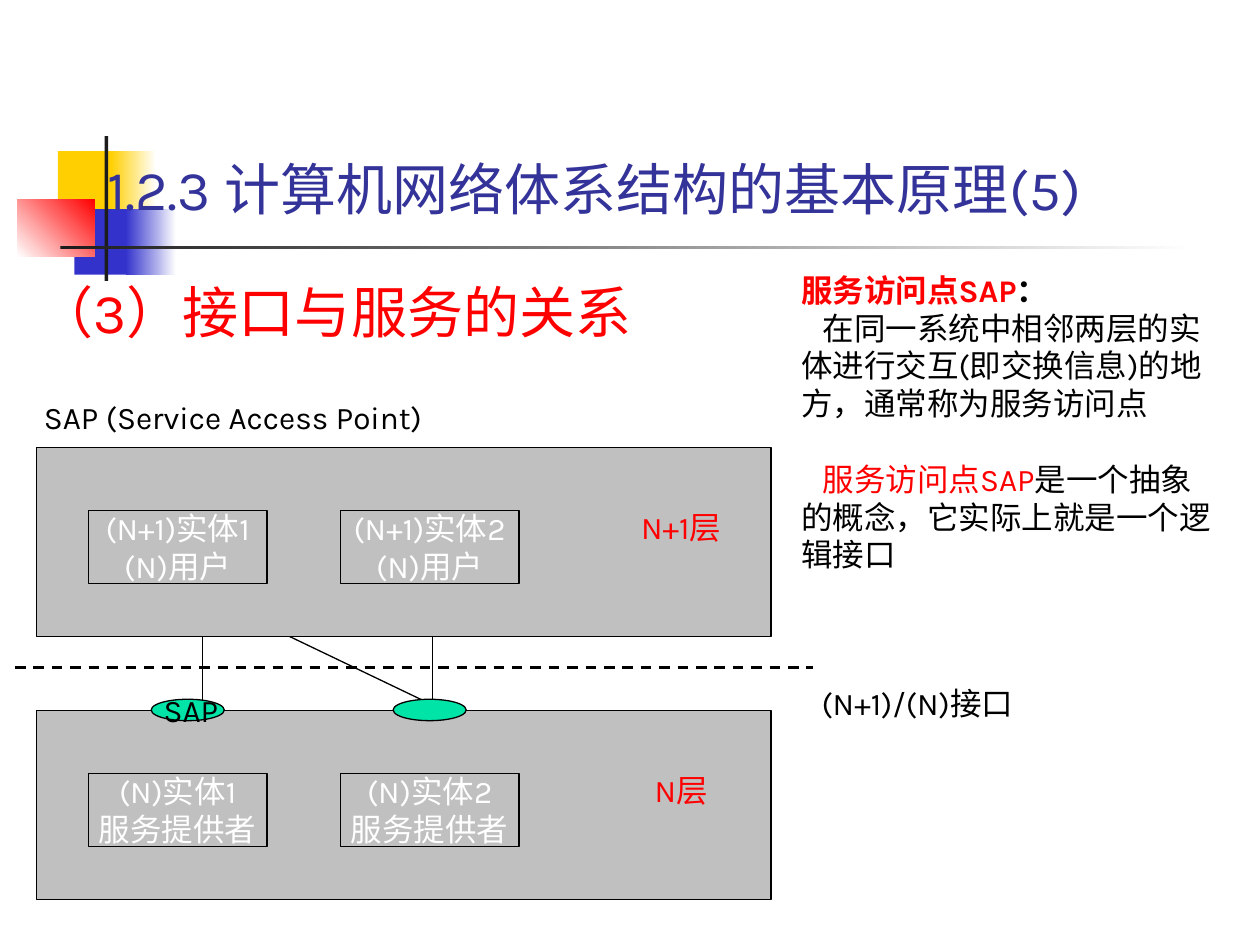
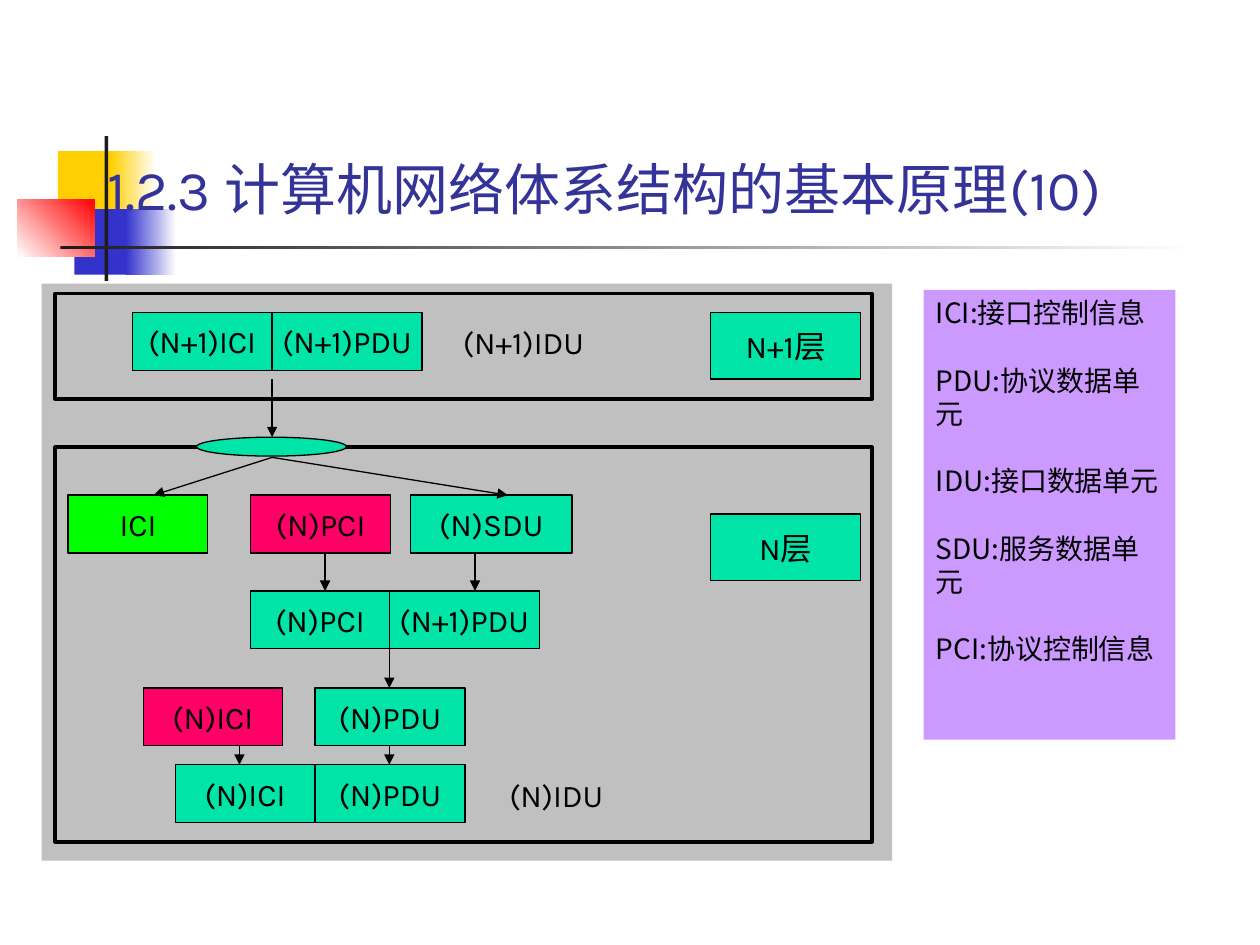
import pptx
import pptx.dml.color
import pptx.enum.dml
import pptx.enum.shapes
import pptx.enum.text
import pptx.oxml
import pptx.oxml.ns
import pptx.util

Inches = pptx.util.Inches
Pt = pptx.util.Pt
rgb = pptx.dml.color.RGBColor.from_string
qn = pptx.oxml.ns.qn
RECT = pptx.enum.shapes.MSO_SHAPE.RECTANGLE
OVAL = pptx.enum.shapes.MSO_SHAPE.OVAL
ALIGN = pptx.enum.text.PP_ALIGN
ANCHOR = pptx.enum.text.MSO_ANCHOR

# Shared colours and fonts
BLACK, WHITE, RED, GREY = "000000", "FFFFFF", "FF0000", "C0C0C0"
YELLOW, BLUE, CHARCOAL, TITLE_BLUE = "FFCF01", "3333CC", "1C1C1C", "333399"
TEAL, GREEN, PINK, LILAC = "00E4A8", "00FF00", "FF0066", "CC99FF"
LATIN, CHINESE = "Karla", "Noto Sans CJK SC"


def put(slide, kind, at, text=(), *, holder=None, fill=None, line=None, width=0.75,
        size=18, color=BLACK, font=LATIN, align=ALIGN.CENTER, anchor=ANCHOR.MIDDLE,
        wrap=False, spacing=1.2, gap=0, indents=()):
    """Place a shape, text box (kind None) or placeholder and write its paragraphs.

    A paragraph is a string or a list of (words, colour, bold) runs.
    """
    box = [Inches(length) for length in at]
    if holder is not None:
        shape = holder
        shape.left, shape.top, shape.width, shape.height = box
    elif kind is None:
        shape = slide.shapes.add_textbox(*box)
    else:
        shape = slide.shapes.add_shape(kind, *box)
        shape.shadow.inherit = False
    if isinstance(fill, tuple):
        start, end, angle = fill
        shape.fill.gradient()
        shape.fill.gradient_angle = angle
        for stop, stop_color in zip(shape.fill.gradient_stops, (start, end)):
            stop.color.rgb = rgb(stop_color)
    elif fill:
        shape.fill.solid()
        shape.fill.fore_color.rgb = rgb(fill)
    else:
        shape.fill.background()
    if line:
        shape.line.color.rgb = rgb(line)
        shape.line.width = Pt(width)
    else:
        shape.line.fill.background()

    frame = shape.text_frame
    frame.auto_size = pptx.enum.text.MSO_AUTO_SIZE.NONE
    frame.word_wrap = wrap
    frame.vertical_anchor = anchor
    for number, words in enumerate(text):
        paragraph = frame.add_paragraph() if number else frame.paragraphs[0]
        paragraph.alignment = align
        paragraph.line_spacing = Pt(size * spacing)
        paragraph.space_before = Pt(gap if number else 0)
        properties = paragraph._p.get_or_add_pPr()
        properties.set("marL", "0")
        properties.set("indent", str(Inches(indents[number]) if indents else 0))
        properties.append(pptx.oxml.parse_xml(
            '<a:buNone xmlns:a="http://schemas.openxmlformats.org/drawingml/2006/main"/>'))
        runs = [(words, color, False)] if isinstance(words, str) else words
        for run_text, run_color, bold in runs:
            run = paragraph.add_run()
            run.text = run_text
            run.font.name = font
            run.font.size = Pt(size)
            run.font.bold = bold
            run.font.color.rgb = rgb(run_color)
            east_asian = run.font._element.makeelement(qn("a:ea"), {"typeface": CHINESE})
            run.font._element.find(qn("a:latin")).addnext(east_asian)
    return shape


def link(slide, x1, y1, x2, y2, width=0.75, dashed=False, arrow=False):
    connector = slide.shapes.add_connector(
        pptx.enum.shapes.MSO_CONNECTOR.STRAIGHT, *map(Inches, (x1, y1, x2, y2)))
    connector.line.color.rgb = rgb(BLACK)
    connector.line.width = Pt(width)
    if dashed:
        connector.line.dash_style = pptx.enum.dml.MSO_LINE.DASH
    properties = connector._element.spPr
    if arrow:
        stroke = properties.find(qn("a:ln"))
        stroke.append(stroke.makeelement(qn("a:tailEnd"), {"type": "triangle"}))
    properties.append(properties.makeelement(qn("a:effectLst"), {}))


deck = pptx.Presentation()
deck.slide_width, deck.slide_height = Inches(10), Inches(7.5)
relation = deck.slides.add_slide(deck.slide_layouts[1])
data_units = deck.slides.add_slide(deck.slide_layouts[5])

# Shared ornament and title
ornament = [
    ((0.46, 1.2, 0.48, 0.52), YELLOW),
    ((0.88, 1.2, 0.36, 0.52), (YELLOW, WHITE, 0)),
    ((0.59, 1.66, 0.46, 0.52), BLUE),
    ((1, 1.66, 0.4, 0.52), (BLUE, WHITE, 0)),
    ((0.14, 1.58, 0.61, 0.46), (WHITE, RED, 45)),
    ((0.83, 1.08, 0.03, 1.15), CHARCOAL),
    ((0.48, 1.95, 9, 0.03), (CHARCOAL, WHITE, 0)),
]
for slide, part in ((relation, 5), (data_units, 10)):
    for at, fill in ornament:
        put(slide, RECT, at, fill=fill)
    title = put(slide, None, (0.75, 0.68, 8.9, 1.13),
                [f"1.2.3 计算机网络体系结构的基本原理({part})"],
                holder=slide.shapes.title, size=32, color=TITLE_BLUE,
                align=ALIGN.LEFT, anchor=ANCHOR.BOTTOM, wrap=True)
    slide.shapes.element.append(title.element)

# Slide 1: heading and labels
put(relation, None, (0.2, 2.21, 7.33, 0.63), ["（3）接口与服务的关系"],
    holder=relation.placeholders[1], size=32, color=RED, align=ALIGN.LEFT,
    anchor=ANCHOR.TOP, wrap=True, spacing=1.08)
put(relation, None, (6.49, 5.29, 1.58, 0.58), ["(N+1)/(N)接口"])
put(relation, None, (0.25, 3.11, 3.22, 0.4), ["SAP (Service Access Point)"],
    align=ALIGN.LEFT, anchor=ANCHOR.TOP)

# Slide 1: links from the upper entities to the access points
for ends in ((1.61, 5.6, 1.61, 4.68), (1.69, 4.76, 3.61, 5.68), (3.43, 4.68, 3.43, 5.6)):
    link(relation, *ends)

# Slide 1: two layers with two entities each
for top, layer, role in ((3.55, "N+1", "(N)用户"), (5.64, "N", "服务提供者")):
    put(relation, RECT, (0.29, top, 5.83, 1.5), fill=GREY, line=BLACK)
    put(relation, None, (5.03, top + 0.42, 0.75, 0.42), [f"{layer}层"], color=RED)
    for entity in (1, 2):
        put(relation, RECT, (2 * entity - 1.3, top + 0.5, 1.42, 0.58),
            [f"({layer})实体{entity}", role], fill=GREY, line=BLACK, color=WHITE)

# Slide 1: access points and the interface line
for left in (1.2, 3.12):
    put(relation, OVAL, (left, 5.55, 0.58, 0.17), fill=TEAL, line=BLACK)
link(relation, 0.12, 5.3, 6.45, 5.3, width=1.5, dashed=True)
put(relation, None, (1.18, 5.42, 0.67, 0.42), ["SAP"])

# Slide 1: explanation
explanation = [
    [("服务访问点SAP", RED, True), ("：", BLACK, True)],
    "在同一系统中相邻两层的实体进行交互(即交换信息)的地方，通常称为服务访问点",
    [("服务访问点SAP", RED, False), ("是一个抽象的概念，它实际上就是一个逻辑接口", BLACK, False)],
]
definition = put(relation, None, (6.26, 2.1, 3.46, 2.5), explanation, align=ALIGN.LEFT,
                 anchor=ANCHOR.TOP, wrap=True, indents=(0, 0.17, 0.17))
definition.text_frame.paragraphs[2].space_before = Pt(21.6)

# Slide 2: panel and layer frames
put(data_units, RECT, (0.33, 2.25, 6.75, 4.58), fill=GREY)
for top, height in ((2.33, 0.84), (3.55, 3.13)):
    put(data_units, RECT, (0.44, top, 6.48, height), line=BLACK, width=2.25)
for top, layer in ((2.48, "N+1层"), (4.08, "N层")):
    put(data_units, RECT, (5.64, top, 1.19, 0.53), [layer], fill=TEAL, line=BLACK)

# Slide 2: data units, row by row
unit_rows = [
    (2.48, [(1.05, 1.11, "(N+1)ICI", TEAL), (2.16, 1.19, "(N+1)PDU", TEAL)]),
    (3.93, [(0.54, 1.11, "ICI", GREEN), (1.99, 1.11, "(N)PCI", PINK),
            (3.26, 1.28, "(N)SDU", TEAL)]),
    (4.69, [(1.99, 1.1, "(N)PCI", TEAL), (3.09, 1.19, "(N+1)PDU", TEAL)]),
    (5.46, [(1.14, 1.1, "(N)ICI", PINK), (2.5, 1.19, "(N)PDU", TEAL)]),
    (6.07, [(1.39, 1.11, "(N)ICI", TEAL), (2.5, 1.19, "(N)PDU", TEAL)]),
]
for top, units in unit_rows:
    for left, width, name, fill in units:
        put(data_units, RECT, (left, top, width, 0.46), [name], fill=fill, line=BLACK)
for left, top, name in ((3.43, 2.56, "(N+1)IDU"), (3.69, 6.15, "(N)IDU")):
    put(data_units, None, (left, top, 1.45, 0.31), [name])

# Slide 2: access point and flow
put(data_units, OVAL, (1.56, 3.47, 1.19, 0.15), fill=TEAL, line=BLACK)
flow = [
    (2.16, 3.01, 2.16, 3.47), (2.16, 3.63, 1.22, 3.93), (2.16, 3.63, 4.03, 3.93),
    (2.58, 4.39, 2.58, 4.69), (3.77, 4.39, 3.77, 4.69), (3.09, 5.15, 3.09, 5.46),
    (1.9, 5.92, 1.9, 6.07), (3.09, 5.92, 3.09, 6.07),
]
for ends in flow:
    link(data_units, *ends, arrow=True)

# Slide 2: glossary
glossary = ["ICI:接口控制信息", "PDU:协议数据单元", "IDU:接口数据单元",
            "SDU:服务数据单元", "PCI:协议控制信息"]
put(data_units, RECT, (7.33, 2.3, 2, 3.57), glossary, fill=LILAC, size=16, font=CHINESE,
    align=ALIGN.LEFT, anchor=ANCHOR.TOP, wrap=True, gap=19.2)

deck.save("out.pptx")
